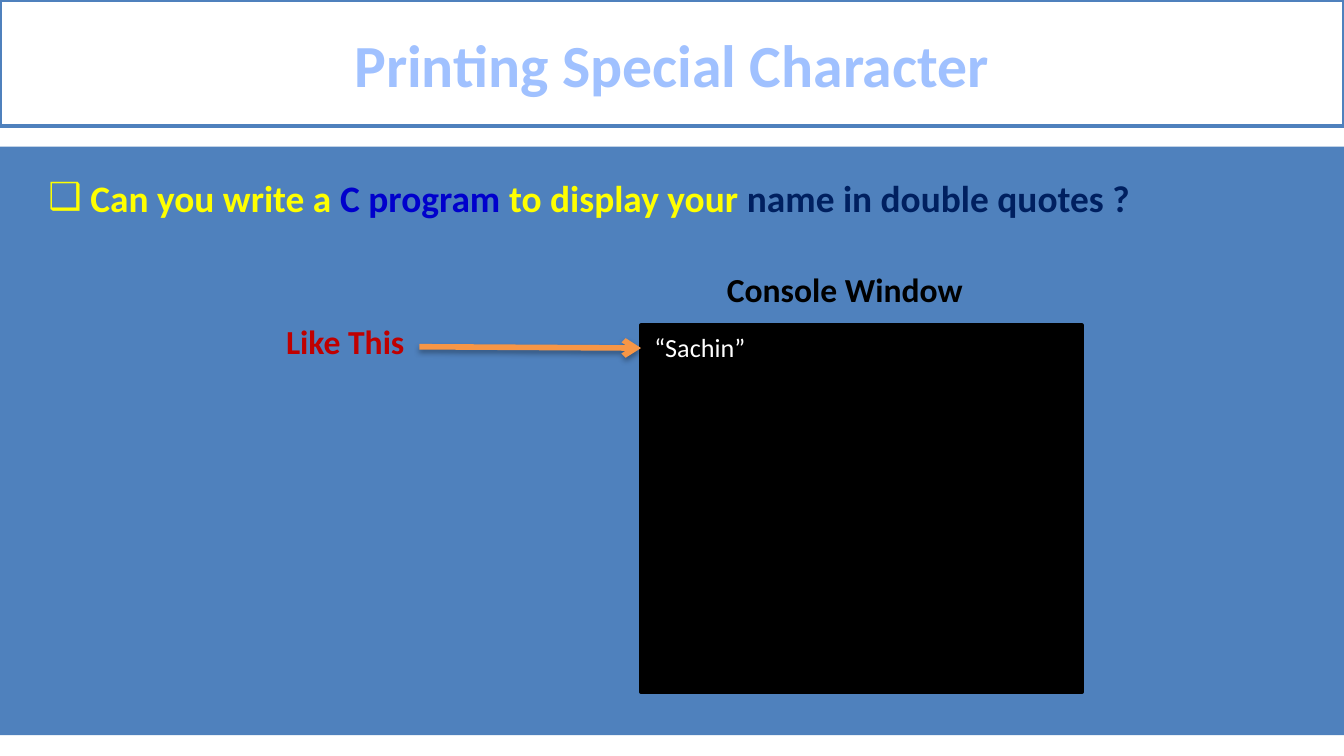
from dataclasses import dataclass

from lxml import etree
from pptx import Presentation
from pptx.dml.color import RGBColor
from pptx.enum.shapes import MSO_CONNECTOR, MSO_SHAPE
from pptx.enum.text import MSO_ANCHOR, MSO_AUTO_SIZE, PP_ALIGN
from pptx.oxml import parse_xml
from pptx.oxml.ns import nsdecls, qn
from pptx.util import Inches, Pt

RECT = MSO_SHAPE.RECTANGLE
STRAIGHT = MSO_CONNECTOR.STRAIGHT
TOP, MIDDLE = MSO_ANCHOR.TOP, MSO_ANCHOR.MIDDLE
NO_FIT = MSO_AUTO_SIZE.NONE
LEFT, CENTER = PP_ALIGN.LEFT, PP_ALIGN.CENTER


@dataclass(frozen=True)
class Theme:
    font: str = "Calibri"
    title_size: int = 32
    question_size: int = 20
    label_size: int = 18
    console_size: int = 14
    blue: str = "4F81BD"
    title: str = "A0C1FF"
    white: str = "FFFFFF"
    black: str = "000000"
    yellow: str = "FFFF00"
    code_blue: str = "0000CC"
    navy: str = "002060"
    red: str = "C00000"
    orange: str = "F79646"


def add_run(p, text, size, color, font=Theme.font, bold=True):
    r = p.add_run()
    r.text = text
    r.font.name = font
    r.font.size = Pt(size)
    r.font.bold = bold
    r.font.color.rgb = RGBColor.from_string(color)


def place(sp, x, y, w, h):
    sp.left, sp.top, sp.width, sp.height = map(Inches, (x, y, w, h))


def paint(sp, fill, line=None):
    sp.fill.solid()
    sp.fill.fore_color.rgb = RGBColor.from_string(fill)
    if line:
        sp.line.color.rgb = RGBColor.from_string(line)
        sp.line.width = Pt(2)
    else:
        sp.line.fill.background()


class Deck:
    """Draws styled elements on the current slide."""

    def __init__(self, prs, theme):
        self.theme = theme
        self.s = prs.slides.add_slide(prs.slide_layouts[1])

    def title(self, text, *box):
        sp = self.s.shapes.title
        place(sp, *box)
        paint(sp, self.theme.white, self.theme.blue)
        tf = sp.text_frame
        tf.auto_size, tf.vertical_anchor = NO_FIT, MIDDLE
        p = tf.paragraphs[0]
        p.alignment = CENTER
        add_run(p, text, self.theme.title_size, self.theme.title)

    def question(self, parts, *box):
        sp = self.s.placeholders[1]
        place(sp, *box)
        tf = sp.text_frame
        tf.auto_size, tf.vertical_anchor = NO_FIT, TOP
        p = tf.paragraphs[0]
        p.level, p.alignment, p.space_before = 1, LEFT, Pt(0)
        pPr = p._p.get_or_add_pPr()
        pPr.set("marL", str(Inches(0.26)))
        pPr.set("indent", "0")
        etree.SubElement(pPr, qn("a:buChar")).set("char", "❑")
        for text, color in parts:
            add_run(p, text, self.theme.question_size, color)

    def rect(self, fill, *box, line=None):
        sp = self.s.shapes.add_shape(RECT, *map(Inches, box))
        sp.shadow.inherit = False
        paint(sp, fill, line)
        return sp

    def panel(self, fill, *box):
        sp = self.rect(fill, *box)
        self.s.shapes.title.element.addprevious(sp.element)

    def label(self, text, *box, wrap=True, **style):
        sp = self.s.shapes.add_textbox(*map(Inches, box))
        tf = sp.text_frame
        tf.word_wrap = wrap
        add_run(tf.paragraphs[0], text, **style)

    def arrow(self, color, *ends):
        cxn = self.s.shapes.add_connector(STRAIGHT, *map(Inches, ends))
        cxn.line.color.rgb = RGBColor.from_string(color)
        cxn.line.width = Pt(3)
        etree.SubElement(cxn.line._get_or_add_ln(), qn("a:tailEnd")).set("type", "arrow")
        cxn.element.spPr.append(parse_xml(
            f'<a:effectLst {nsdecls("a")}><a:outerShdw blurRad="{Pt(3.1)}" dist="{Pt(1.8)}" '
            f'dir="5400000" rotWithShape="0"><a:srgbClr val="{self.theme.black}">'
            '<a:alpha val="35000"/></a:srgbClr></a:outerShdw></a:effectLst>'))


def main():
    prs = Presentation()
    prs.slide_width, prs.slide_height = Inches(10), Inches(10) * 9 // 16
    t = Theme()
    deck = Deck(prs, t)

    deck.panel(t.blue, 0, 1.09, 10, 4.38)
    deck.title("Printing Special Character", 0, 0, 10, 0.94)
    deck.question([(" Can you write a ", t.yellow), ("C program ", t.code_blue),
                   ("to display your ", t.yellow), ("name in double quotes ?", t.navy)],
                  0, 1.25, 10, 0.77)

    deck.rect(t.black, 4.77, 2.42, 3.28, 2.73, line=t.black)
    deck.label("“Sachin”", 4.77, 2.42, 0.94, 0.34,
               size=t.console_size, color=t.white, bold=False)
    deck.label("Console Window", 5.31, 1.95, 2.05, 0.4,
               size=t.label_size, color=t.black)
    deck.arrow(t.orange, 3.12, 2.58, 4.77, 2.59)
    deck.label("Like This", 2.03, 2.34, 1.95, 0.4, size=t.label_size, color=t.red)

    prs.save("out.pptx")


if __name__ == "__main__":
    main()
